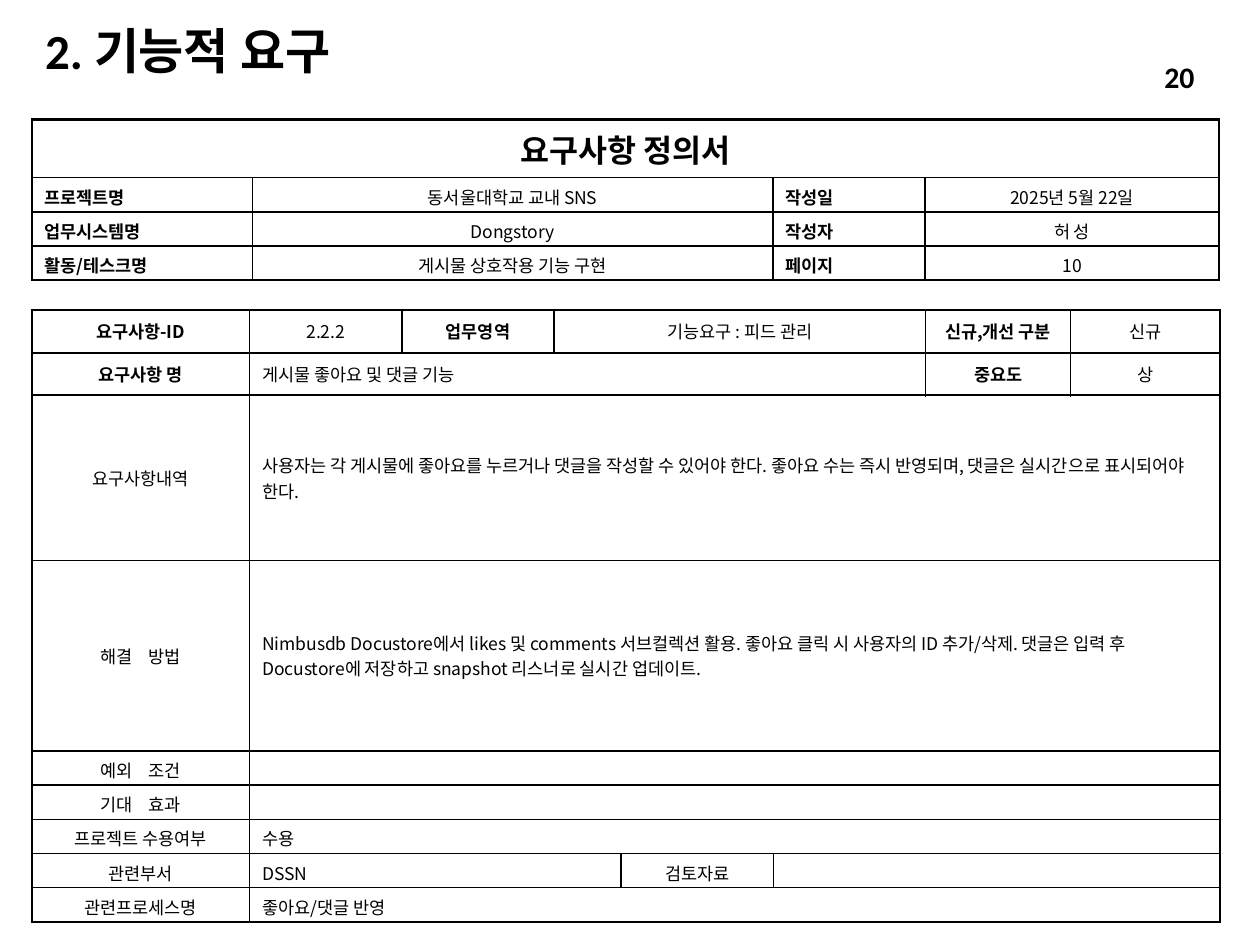
"""Build the requirement definition slide for the feed interaction feature."""
from dataclasses import dataclass

import lxml.etree
import pptx
import pptx.dml.color
import pptx.enum.text
import pptx.oxml.ns
import pptx.util

Cm = pptx.util.Cm
Pt = pptx.util.Pt
qn = pptx.oxml.ns.qn
Align = pptx.enum.text.PP_ALIGN
Anchor = pptx.enum.text.MSO_ANCHOR


@dataclass(frozen=True)
class Theme:
    ink: str = "000000"
    heading_font: str = "Calibri"
    body_font: str = "Noto Sans CJK KR"
    title_size: int = 28
    page_size: int = 17
    form_size: int = 18
    body_size: int = 10
    thin: float = 1
    thick: float = 1.5


@dataclass(frozen=True)
class Entry:
    row: int
    col: int
    text: str = ""
    span: int = 1
    bold: bool = False
    align: Align = Align.CENTER
    anchor: Anchor = Anchor.MIDDLE
    size: int = 10
    gap: float = 0


@dataclass(frozen=True)
class Form:
    left: float
    top: float
    columns: list[float]
    rows: list[float]
    thick_rules: set[int]
    entries: list[Entry]


THEME = Theme()


def write_text(frame, text: str, *, size: int, bold: bool = False, font: str = THEME.body_font,
               align: Align = Align.LEFT, anchor: Anchor = Anchor.MIDDLE,
               line_spacing: float = 1.0, gap: float = 0) -> None:
    paragraph = frame.paragraphs[0]
    paragraph.alignment = align
    paragraph.line_spacing = line_spacing
    frame.vertical_anchor = anchor
    for piece in text.partition(" ") if gap else [text]:
        run = paragraph.add_run()
        run.text = piece
        run.font.size = Pt(size)
        run.font.bold = bold
        run.font.name = font
        run.font.color.rgb = pptx.dml.color.RGBColor.from_string(THEME.ink)
        properties = run.font._element
        east_asian = lxml.etree.Element(qn("a:ea"), typeface=THEME.body_font)
        properties.find(qn("a:latin")).addnext(east_asian)
        if piece == " ":
            properties.set("spc", str(int(gap * 100)))


def add_heading(slide, box: tuple[float, float, float, float], text: str, **text_format) -> None:
    frame = slide.shapes.add_textbox(*map(Cm, box)).text_frame
    frame.word_wrap = True
    write_text(frame, text, font=THEME.heading_font, bold=True, **text_format)


def set_border(cell, side: str, width: float) -> None:
    line = lxml.etree.SubElement(cell._tc.get_or_add_tcPr(), qn(f"a:ln{side}"),
                                 w=str(Pt(width)))
    fill = lxml.etree.SubElement(line, qn("a:solidFill"))
    lxml.etree.SubElement(fill, qn("a:srgbClr"), val=THEME.ink)


def draw_entry(table, form: Form, entry: Entry) -> None:
    end = entry.col + entry.span
    origin = table.cell(entry.row, entry.col)
    if entry.span > 1:
        origin.merge(table.cell(entry.row, end - 1))

    def rule(index: int, thick_at: set[int]) -> float:
        return THEME.thick if index in thick_at else THEME.thin

    outer = {0, len(form.columns)}
    for col in range(entry.col, end):
        cell = table.cell(entry.row, col)
        if col == entry.col:
            set_border(cell, "L", rule(entry.col, outer))
        if col in (entry.col, end - 1):
            set_border(cell, "R", rule(end, outer))
        set_border(cell, "T", rule(entry.row, form.thick_rules))
        set_border(cell, "B", rule(entry.row + 1, form.thick_rules))
        cell.fill.background()
        if col > entry.col or not entry.text:
            lxml.etree.SubElement(cell.text_frame.paragraphs[0]._p, qn("a:endParaRPr"),
                                  sz=str(THEME.body_size * 100))
    if entry.text:
        write_text(origin.text_frame, entry.text, size=entry.size, bold=entry.bold,
                   align=entry.align, gap=entry.gap)
        origin.vertical_anchor = entry.anchor


def draw_form(slide, form: Form) -> None:
    table = slide.shapes.add_table(len(form.rows), len(form.columns), Cm(form.left), Cm(form.top),
                                   Cm(sum(form.columns)), Cm(sum(form.rows))).table
    table.first_row = table.horz_banding = False
    for column, width in zip(table.columns, form.columns):
        column.width = Cm(width)
    for row, height in zip(table.rows, form.rows):
        row.height = Cm(height)
    for entry in form.entries:
        draw_entry(table, form, entry)


def summary_form() -> Form:
    lines = [("프로젝트명", "동서울대학교 교내 SNS", "작성일", "2025년 5월 22일"),
             ("업무시스템명", "Dongstory", "작성자", "허 성"),
             ("활동/테스크명", "게시물 상호작용 기능 구현", "페이지", "10")]
    entries = [Entry(0, 0, "요구사항 정의서", span=4, bold=True, size=THEME.form_size)]
    for row, line in enumerate(lines, start=1):
        for col, text in enumerate(line):
            label = col % 2 == 0
            entries.append(Entry(row, col, text, bold=label, anchor=Anchor.TOP,
                                 align=Align.JUSTIFY if label else Align.CENTER))
    return Form(0.64, 2.41, [4.45, 10.49, 3.07, 5.92], [1.17] + [0.69] * 3, {0, 4}, entries)


def detail_form() -> Form:
    entries = [
        Entry(0, 0, "요구사항-ID", bold=True),
        Entry(0, 1, "2.2.2"),
        Entry(0, 2, "업무영역", bold=True),
        Entry(0, 3, "기능요구 : 피드 관리", span=3),
        Entry(0, 6, "신규,개선 구분", bold=True),
        Entry(0, 7, "신규"),
        Entry(1, 0, "요구사항 명", bold=True),
        Entry(1, 1, "게시물 좋아요 및 댓글 기능", span=5, align=Align.LEFT),
        Entry(1, 6, "중요도", bold=True),
        Entry(1, 7, "상"),
        Entry(7, 0, "관련부서"),
        Entry(7, 1, "DSSN", span=3, align=Align.LEFT),
        Entry(7, 4, "검토자료"),
        Entry(7, 5, span=3),
    ]
    wide_rows = [
        (2, "요구사항내역", 0, "사용자는 각 게시물에 좋아요를 누르거나 댓글을 작성할 수 있어야 한다. "
         "좋아요 수는 즉시 반영되며, 댓글은 실시간으로 표시되어야 한다."),
        (3, "해결 방법", 7, "Nimbusdb Docustore에서 likes 및 comments 서브컬렉션 활용. "
         "좋아요 클릭 시 사용자의 ID 추가/삭제. 댓글은 입력 후 "
         "Docustore에 저장하고 snapshot 리스너로 실시간 업데이트."),
        (4, "예외 조건", 7, ""),
        (5, "기대 효과", 7, ""),
        (6, "프로젝트 수용여부", 0, "수용"),
        (8, "관련프로세스명", 0, "좋아요/댓글 반영"),
    ]
    for row, label, gap, content in wide_rows:
        entries += [Entry(row, 0, label, gap=gap),
                    Entry(row, 1, content, span=7, align=Align.LEFT)]
    return Form(0.64, 6.25, [4.39, 3.07, 3.07, 1.35, 3.07, 3.07, 2.92, 3.02],
                [0.86, 0.86, 3.33, 3.84] + [0.69] * 5, {0, 1, 2, 9}, entries)


def main() -> None:
    deck = pptx.Presentation()
    deck.slide_width, deck.slide_height = Cm(25.4), Cm(19.05)
    slide = deck.slides.add_slide(deck.slide_layouts[6])
    add_heading(slide, (0.66, 0.53, 13.61, 1.12), "2. 기능적 요구",
                size=THEME.title_size, line_spacing=0.9)
    draw_form(slide, detail_form())
    draw_form(slide, summary_form())
    add_heading(slide, (20.22, 1.04, 4.11, 1.02), "20", size=THEME.page_size, align=Align.RIGHT)
    deck.save("out.pptx")


if __name__ == "__main__":
    main()
